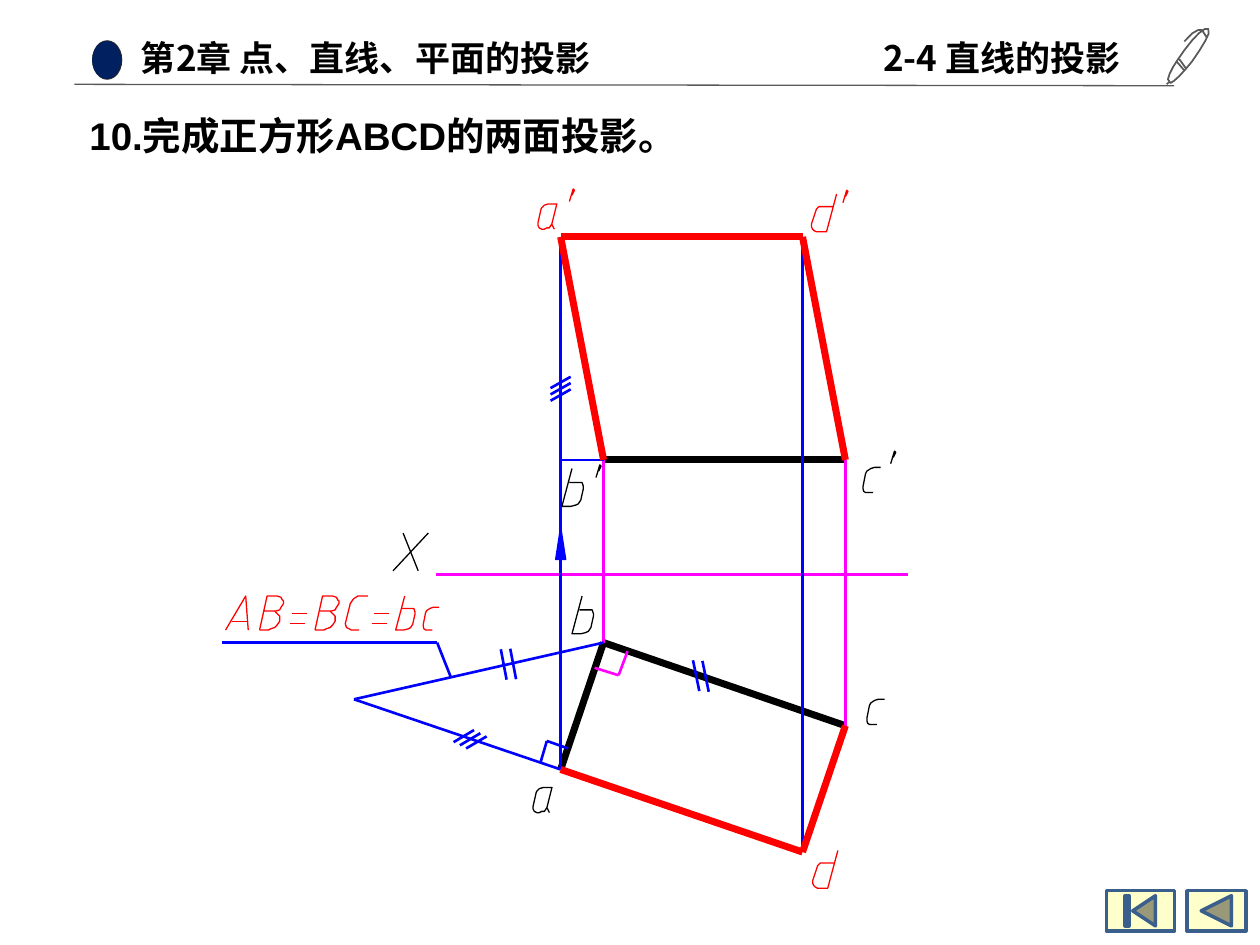
"""Build the slide on completing the two projections of square ABCD."""
from lxml import etree
from pptx import Presentation
from pptx.dml.color import RGBColor
from pptx.enum.shapes import MSO_CONNECTOR, MSO_SHAPE
from pptx.enum.text import MSO_ANCHOR, MSO_AUTO_SIZE, PP_ALIGN
from pptx.oxml.ns import qn
from pptx.util import Pt

STRAIGHT = MSO_CONNECTOR.STRAIGHT
OVAL = MSO_SHAPE.OVAL
BUTTON_FIRST = MSO_SHAPE.ACTION_BUTTON_BEGINNING
BUTTON_BACK = MSO_SHAPE.ACTION_BUTTON_BACK_OR_PREVIOUS
TOP = MSO_ANCHOR.TOP
LEFT = PP_ALIGN.LEFT
FIT_SHAPE = MSO_AUTO_SIZE.SHAPE_TO_FIT_TEXT

BLACK = RGBColor(0x00, 0x00, 0x00)
RED = RGBColor(0xFF, 0x00, 0x00)
BLUE = RGBColor(0x00, 0x00, 0xFF)
MAGENTA = RGBColor(0xFF, 0x00, 0xFF)
GRAY = RGBColor(0x59, 0x59, 0x59)
CHARCOAL = RGBColor(0x26, 0x26, 0x26)
NAVY = RGBColor(0x00, 0x20, 0x60)
CREAM = RGBColor(0xFF, 0xFF, 0xCC)
STEEL = RGBColor(0x3A, 0x5F, 0x8C)

CJK = "Noto Sans CJK SC"
UNIT = 0.72
THIN, THICK = 1.5, 4

presentation = Presentation()
presentation.slide_width, presentation.slide_height = Pt(720), Pt(540)
slide = presentation.slides.add_slide(presentation.slide_layouts[5])
shapes = slide.shapes


def draw_line(start, end, color, width):
    line = shapes.add_connector(STRAIGHT, *(Pt(v) for v in (*start, *end)))
    line.line.color.rgb = color
    line.line.width = Pt(width)
    etree.SubElement(line._element.spPr, qn("a:effectLst"))


def draw_strokes(strokes, left, top, color, width=0, scale=1):
    placed = [[(Pt(left + x * UNIT * scale), Pt(top + y * UNIT * scale)) for x, y in stroke]
              for stroke in strokes]
    builder = shapes.build_freeform(*placed[0][0])
    for index, stroke in enumerate(placed):
        if index:
            builder.move_to(*stroke[0])
        builder.add_line_segments(stroke[1:], close=stroke[0] == stroke[-1])
    outline = builder.convert_to_shape()
    outline.shadow.inherit = False
    outline.fill.background()
    outline.line.color.rgb = color
    outline.line.width = Pt(width)
    return outline


question = shapes.title
chapter = shapes.add_textbox(0, 0, 0, 0)
section = shapes.add_textbox(0, 0, 0, 0)
for holder, box, inset, wrap, text, font, size in [
    (question, (43.9, 60.5, 371.5, 33.8), (7.2, 3.6), True, "10.完成正方形ABCD的两面投影。", "Arial", 22),
    (chapter, (75.6, 18, 293, 29.5), (5, 2.9), True, "第2章 点、直线、平面的投影", CJK, 20),
    (section, (497.5, 17.3, 157, 31.7), (7.2, 3.6), False, "2-4 直线的投影", CJK, 20),
]:
    holder.left, holder.top, holder.width, holder.height = (Pt(v) for v in box)
    frame = holder.text_frame
    frame.margin_left = frame.margin_right = Pt(inset[0])
    frame.margin_top = frame.margin_bottom = Pt(inset[1])
    frame.word_wrap = wrap
    frame.auto_size = FIT_SHAPE
    frame.vertical_anchor = TOP
    frame.paragraphs[0].alignment = LEFT
    run = frame.paragraphs[0].add_run()
    run.text = text
    run.font.size = Pt(size)
    run.font.bold = True
    run.font.color.rgb = BLACK
    run.font.name = font
    etree.SubElement(run._r.rPr, qn("a:ea"), typeface=CJK)

for kind, box, fill, edge in [
    (OVAL, (52.6, 23, 17.3, 22.6), CHARCOAL, None),
    (OVAL, (52.7, 23.5, 16.6, 21.6), NAVY, None),
    (BUTTON_FIRST, (632.2, 509, 38.9, 23), CREAM, STEEL),
    (BUTTON_BACK, (678.2, 509, 33.8, 23), CREAM, STEEL),
]:
    mark = shapes.add_shape(kind, *(Pt(v) for v in box))
    mark.shadow.inherit = False
    mark.fill.solid()
    mark.fill.fore_color.rgb = fill
    if edge is None:
        mark.line.fill.background()
    else:
        mark.line.color.rgb = edge
        mark.line.width = Pt(2)

draw_line((42.5, 48.2), (671, 49), GRAY, 0.75)
PEN = [
    [(33, 2), (30.3, 2.1), (25.8, 5.3), (20.3, 11), (14, 19), (9.2, 25.9), (5.2, 32), (2.4, 37.6),
     (1, 42), (3, 45), (5.9, 43.2), (10, 39.5), (14.8, 34.2), (20, 28), (25.9, 19.4), (30.6, 11.6),
     (33.3, 5.8), (33, 2)],
    [(14, 35), (8, 28)],
    [(10, 26), (15, 33)],
    [(2, 44), (0, 46)],
    [(32, 9), (28, 3), (24.8, 3), (20.4, 5.5), (14, 12)],
]
draw_strokes(PEN, 666.7, 15.1, GRAY, 1)

a, b, c, d = (320.4, 439.7), (344.9, 367.2), (483.1, 414.7), (458.6, 486.9)
a2, b2, c2, d2 = (320.4, 135.4), (344.9, 262.8), (483.1, 262.8), (458.6, 135.4)
apex = (202.3, 399.6)
callout = (249.8, 367.2)
for color, width, segments in [
    (BLACK, THICK, [(a, b), (c, b), (b2, c2)]),
    (MAGENTA, THIN, [(c, c2), (b2, b), ((249.1, 328.3), (519.1, 328.3)),
                     ((353.5, 385.9), (339.8, 381.6)), ((358.6, 372.2), (353.5, 385.9))]),
    (BLUE, THIN, [(b2, (a[0], b2[1])), (d2, d), (apex, a), (b, apex), (a, a2),
                  (callout, (126.7, 367.2)), ((257.8, 387.4), callout),
                  ((312.5, 423.4), (324.7, 427.7)), ((312.5, 423.4), (308.9, 435.6))]),
    (RED, THICK, [(d2, c2), (a2, b2), (a2, d2), (d, a), (d, c)]),
]:
    for start, end in segments:
        draw_line(start, end, color, width)

for (x, y), (dx, dy), (step_x, step_y), count in [
    ((314.6, 221.8), (11.5, -6.5), (0, 3.6), 3),
    ((259.2, 424.1), (11.7, -6.9), (3.6, 1.8), 3),
    ((396, 377.3), (3.6, 17.6), (5.4, 0.4), 2),
    ((286.2, 371), (3.3, 17.4), (5.4, -0.3), 2),
]:
    for i in range(count):
        tick = (x + i * step_x, y + i * step_y)
        draw_line(tick, (tick[0] + dx, tick[1] + dy), BLUE, THIN)

arrow = draw_strokes([[(0, 26), (8, 26), (4, 0), (0, 26)]], 317.5, 301, BLUE)
arrow.fill.solid()
arrow.fill.fore_color.rgb = BLUE

GLYPHS = {
    "a": [[(13, 20), (11, 16), (15, 0), (8, 0), (5, 1), (3, 3), (2.5, 4), (0, 15), (0, 17), (1, 19),
           (3, 20), (5, 20), (7, 19), (9, 19), (11, 16)]],
    "b": [[(8, 0), (0, 30), (7, 30), (11, 29), (13, 28), (15, 25), (17, 16), (17, 14), (16, 11),
           (14, 11), (6, 11)]],
    "c": [[(14, 0), (9, 0), (6, 1), (3, 3), (2, 5), (0, 15), (0, 17), (0.5, 19), (2, 20), (8, 20)]],
    "d": [[(20, 0), (12, 30), (4, 30), (2, 29), (1, 28), (0, 26), (0, 24), (3, 15), (4, 12), (6, 10),
           (8, 10), (17, 10)]],
    "′": [[(0, 10), (3, 0), (4, 1), (2, 5)]],
    "X": [[(8, 0), (20, 30)], [(28, 0), (0, 30)]],
    "A": [[(0, 27), (16, 0), (18, 27)], [(17, 20), (5, 20)]],
    "B": [[(0, 27), (6, 0), (14, 0), (17, 1), (18, 3), (19, 4), (19, 6), (17, 9), (16, 11), (13, 12),
           (4, 12)],
          [(12, 12), (14, 14), (16, 16), (16, 20), (14, 23), (12, 25), (9, 26), (7, 27), (0, 27)]],
    "C": [[(11, 27), (5, 27), (3, 26), (1, 25), (0, 22), (4, 6), (6, 3), (7, 2), (10, 0), (18, 0)]],
    "=": [[(0, 8), (12, 8)], [(14, 0), (2, 0)]],
}
for color, scale, letters in [
    (BLACK, 1, [("X", 224.6, 304.6), ("a", 304.6, 450), ("b", 326.9, 340.6), ("c", 495.4, 399.6),
                ("b", 321.1, 267.8), ("′", 340.6, 265.7), ("c", 493.2, 267.1), ("′", 509, 257.8)]),
    (RED, 1, [("a", 307.4, 116.6), ("′", 325.4, 108), ("d", 463.7, 110.9), ("′", 481.7, 108.7),
              ("d", 464.4, 486), ("A", 128.9, 340.6), ("B", 148.3, 340.6), ("=", 165.6, 350.6),
              ("B", 180, 340.6), ("C", 197.3, 340.6), ("=", 212.4, 350.6)]),
    (RED, 0.9, [("b", 226.1, 340.6), ("c", 241.9, 347)]),
]:
    for letter, left, top in letters:
        draw_strokes(GLYPHS[letter], left, top, color, scale=scale)

presentation.save("out.pptx")
